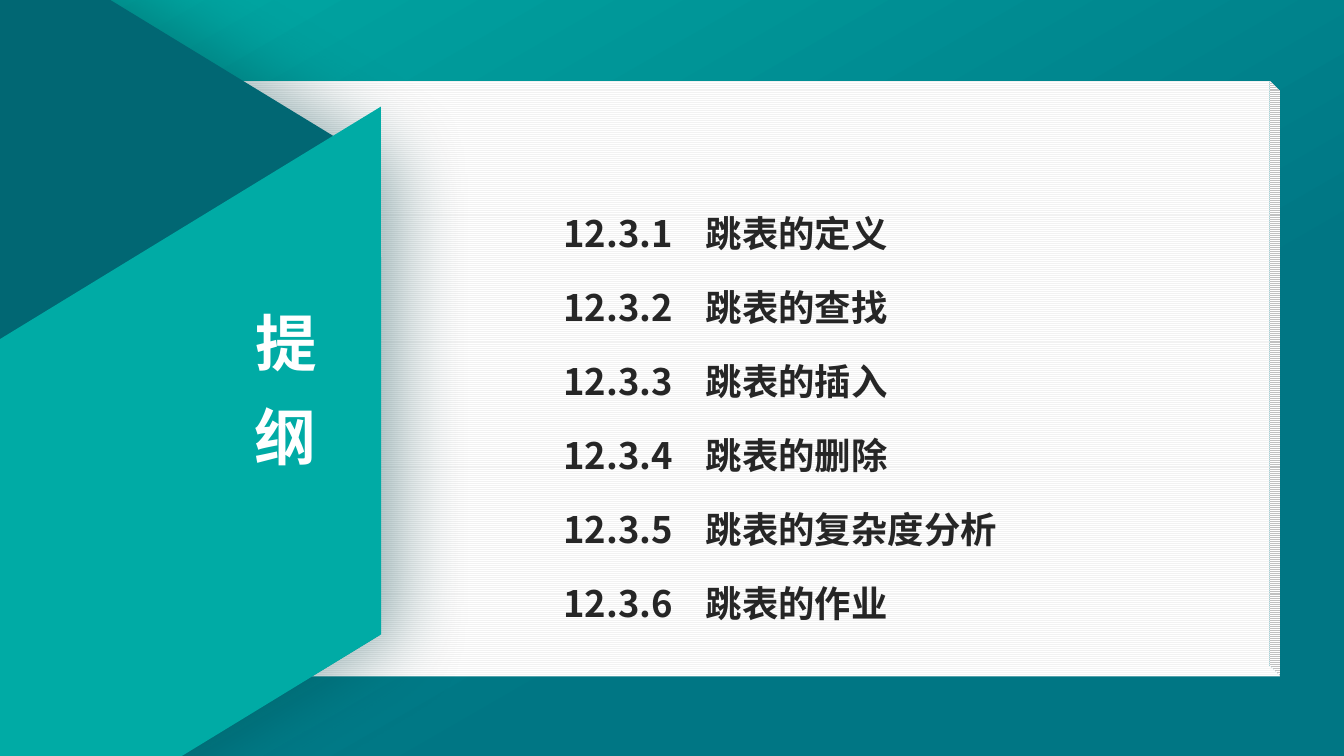
"""Build the outline slide for the skip list section."""
from lxml import etree
from pptx import Presentation
from pptx.dml.color import RGBColor
from pptx.enum.dml import MSO_PATTERN
from pptx.enum.shapes import MSO_SHAPE as Shape
from pptx.enum.text import MSO_ANCHOR, MSO_AUTO_SIZE, PP_ALIGN
from pptx.oxml.ns import qn
from pptx.util import Inches, Pt

FONT = "Noto Sans CJK SC"
COLORS = {name: RGBColor.from_string(value) for name, value in {
    "teal": "00ABA5", "deep": "007684", "dark": "016773", "shade": "013F45",
    "stripe": "F2F2F2", "white": "FFFFFF", "black": "000000", "text": "262626",
}.items()}
TOPICS = ["定义", "查找", "插入", "删除", "复杂度分析", "作业"]


def fill_shadow(effects, color, alpha, blur, distance, angle):
    shadow = etree.SubElement(effects, qn("a:outerShdw"), blurRad=str(Pt(blur)),
                              dist=str(Pt(distance)), dir=str(angle * 60000),
                              algn="ctr", rotWithShape="0")
    tint = etree.SubElement(shadow, qn("a:srgbClr"), val=str(COLORS[color]))
    etree.SubElement(tint, qn("a:alpha"), val=str(alpha * 1000))


def style_font(run, size, color):
    font = run.font
    font.size, font.bold, font.name = Pt(size), True, FONT
    font.color.rgb = COLORS[color]
    properties = run._r.get_or_add_rPr()
    etree.SubElement(properties, qn("a:ea"), typeface=FONT)
    return properties


presentation = Presentation()
presentation.slide_width, presentation.slide_height = Inches(13.33), Inches(7.5)
slide = presentation.slides.add_slide(presentation.slide_layouts[5])
background = slide.background.fill

panels = []
for kind, left, top, width, height, rotation, adjustment in [
    (Shape.CUBE, 0, 0.8, 12.7, 5.91, 0, 0.018),
    (Shape.HEXAGON, -6.21, -0.79, 10.46, 9.51, 90, 0.305),
    (Shape.PARALLELOGRAM, -2.74, 2.89, 8.29, 4.47, 328.6, 0.61),
]:
    shape = slide.shapes.add_shape(kind, Inches(left), Inches(top), Inches(width), Inches(height))
    shape.rotation = rotation
    shape.adjustments[0] = adjustment
    shape.line.fill.background()
    shape.shadow.inherit = False
    panels.append(shape)
page, hexagon, banner = panels

page.element.spPr.find(qn("a:xfrm")).set("flipV", "1")
page.fill.patterned()
page.fill.pattern = MSO_PATTERN.LIGHT_HORIZONTAL
page.fill.fore_color.rgb = COLORS["stripe"]
page.fill.back_color.rgb = COLORS["white"]
fill_shadow(hexagon.element.spPr.find(qn("a:effectLst")), "shade", 40, 55, 13, 0)
banner.fill.solid()
banner.fill.fore_color.rgb = COLORS["teal"]

for fill, angle, stops in [
    (background, 300, [(0, "teal"), (0.67, "deep")]),
    (hexagon.fill, 270, [(0.77, "dark"), (1, "deep")]),
]:
    fill.gradient()
    fill.gradient_angle = angle
    for stop, (position, color) in zip(fill.gradient_stops, stops):
        stop.position = position
        stop.color.rgb = COLORS[color]

title = slide.shapes.title
title.left, title.top, title.width, title.height = (
    Inches(2.43), Inches(2.82), Inches(0.81), Inches(1.87))
banner.element.addnext(title.element)
frame = title.text_frame
frame.word_wrap = True
frame.auto_size = MSO_AUTO_SIZE.NONE
frame.vertical_anchor = MSO_ANCHOR.MIDDLE
frame.margin_left = frame.margin_right = frame.margin_top = frame.margin_bottom = 0
paragraph = frame.paragraphs[0]
paragraph.alignment = PP_ALIGN.CENTER
paragraph.line_spacing = Pt(67)
run = paragraph.add_run()
run.text = "提纲"
properties = style_font(run, 44, "white")
effects = etree.Element(qn("a:effectLst"))
properties.find(qn("a:solidFill")).addnext(effects)
fill_shadow(effects, "black", 43, 3, 3, 45)

outline = slide.shapes.add_textbox(Inches(5.49), Inches(1.88), Inches(5.91), Inches(4.41))
frame = outline.text_frame
frame.word_wrap = True
frame.auto_size = MSO_AUTO_SIZE.SHAPE_TO_FIT_TEXT
frame.margin_top = 0
for number, topic in enumerate(TOPICS, 1):
    paragraph = frame.paragraphs[0] if number == 1 else frame.add_paragraph()
    paragraph.line_spacing = 1.5
    paragraph.space_before = Pt(6)
    tabs = etree.SubElement(paragraph._p.get_or_add_pPr(), qn("a:tabLst"))
    etree.SubElement(tabs, qn("a:tab"), pos=str(Inches(1.41)), algn="l")
    run = paragraph.add_run()
    run.text = f"12.3.{number}\t跳表的{topic}"
    style_font(run, 26, "text")

presentation.save("out.pptx")
